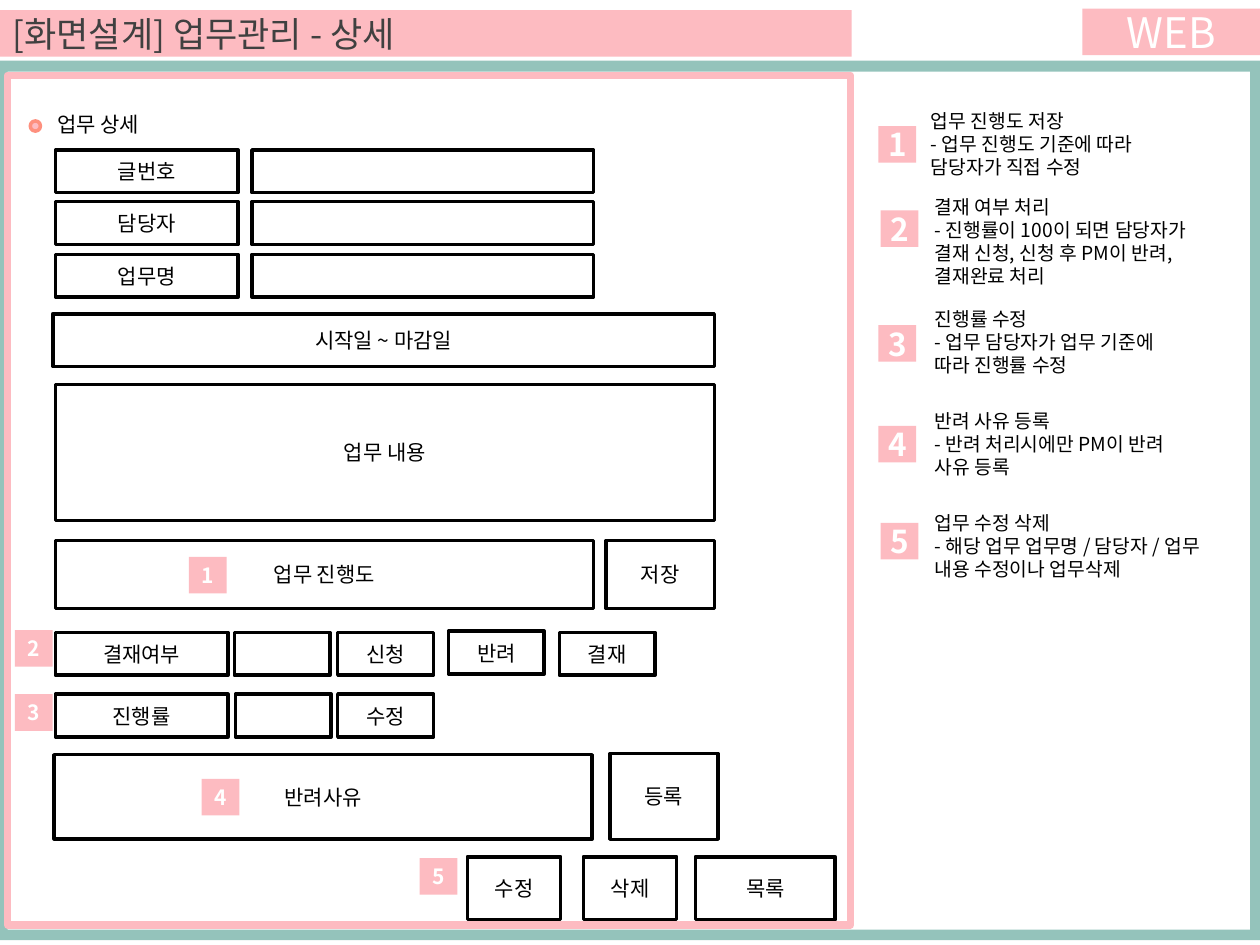
from pptx import Presentation
from pptx.dml.color import RGBColor
from pptx.enum.shapes import MSO_SHAPE
from pptx.enum.text import MSO_ANCHOR, MSO_AUTO_SIZE, PP_ALIGN
from pptx.oxml.ns import qn
from pptx.util import Pt

FONT = "Noto Sans CJK KR"
PINK = RGBColor(0xFD, 0xBB, 0xC1)
CORAL = RGBColor(0xFE, 0x90, 0x7E)
TEAL = RGBColor(0x94, 0xC3, 0xBB)
WHITE = RGBColor(0xFF, 0xFF, 0xFF)
BLACK = RGBColor(0, 0, 0)
GRAY = RGBColor(0x40, 0x40, 0x40)

ROW_H = 24.5
BADGE_W, BADGE_H = 21.6, 20.9

# Label, top
DETAIL_ROWS = [("글번호", 85.7), ("담당자", 115.2), ("업무명", 145.4)]

# Label, left, top, width, height
FORM_BOXES = [
    ("시작일 ~ 마감일", 30.2, 179.3, 378, 30.2),
    ("업무 내용", 31.7, 219.6, 376.6, 77.8),
    ("업무 진행도", 31.7, 308.9, 307.4, 38.9),
    ("저장", 346.3, 308.9, 61.9, 38.9),
    ("결재여부", 31.7, 361.4, 98.6, ROW_H),
    ("", 133.9, 361.4, 54.7, ROW_H),
    ("신청", 193, 361.4, 54.7, ROW_H),
    ("반려", 256.3, 360.7, 54.7, ROW_H),
    ("결재", 319.7, 361.4, 54.7, ROW_H),
    ("진행률", 31.7, 396.7, 98.6, ROW_H),
    ("", 134.6, 396.7, 54.7, ROW_H),
    ("수정", 193, 396.7, 54.7, ROW_H),
    ("반려사유", 31, 431.3, 307.4, 48.2),
    ("등록", 348.5, 430.6, 61.9, 49),
    ("수정", 267.1, 489.6, 53.3, 36),
    ("삭제", 333.4, 489.6, 53.3, 36),
    ("목록", 397.4, 489.6, 79.9, 36),
]

# Left, top of the markers 1 to 5 on the form
FORM_BADGES = [(108, 318.2), (8.6, 360), (8.6, 396.7), (115.2, 445), (239.8, 490.3)]

# Badge left, badge top, text left, text top, text width, text height, heading, detail
NOTES = [
    (502, 72, 524.9, 59, 158.4, 47.5, "업무 진행도 저장",
     "- 업무 진행도 기준에 따라 담당자가 직접 수정"),
    (503.3, 120.2, 527, 108, 177.1, 60.5, "결재 여부 처리",
     "- 진행률이 100이 되면 담당자가 결재 신청, 신청 후 PM이 반려, 결재완료 처리"),
    (502, 185.8, 527, 172.1, 158.4, 47.5, "진행률 수정",
     "- 업무 담당자가 업무 기준에 따라 진행률 수정"),
    (502, 243.4, 527, 230.4, 167.8, 47.5, "반려 사유 등록",
     "- 반려 처리시에만 PM이 반려 사유 등록"),
    (503.3, 298.8, 527, 288.7, 167.8, 60.5, "업무 수정 삭제",
     "- 해당 업무 업무명 / 담당자 / 업무 내용 수정이나 업무삭제"),
]


def add_run(p, text, size, color, bold=False):
    r = p.add_run()
    r.text = text
    r.font.size = Pt(size)
    r.font.bold = bold
    r.font.color.rgb = color
    r.font.name = FONT
    ea = r._r.get_or_add_rPr().makeelement(qn("a:ea"), {"typeface": FONT})
    r.font._element.find(qn("a:latin")).addnext(ea)


def add_box(s, left, top, width, height, fill=None, line=None, line_w=2,
            shape=MSO_SHAPE.RECTANGLE):
    sp = s.shapes.add_shape(shape, Pt(left), Pt(top), Pt(width), Pt(height))
    sp.shadow.inherit = False
    if fill is None:
        sp.fill.background()
    else:
        sp.fill.solid()
        sp.fill.fore_color.rgb = fill
    if line is None:
        sp.line.fill.background()
    else:
        sp.line.color.rgb = line
        sp.line.width = Pt(line_w)
    return sp


def add_label(sp, text, size, color, bold=False):
    tf = sp.text_frame
    tf.margin_left = tf.margin_right = tf.margin_top = tf.margin_bottom = 0
    tf.vertical_anchor = MSO_ANCHOR.MIDDLE
    p = tf.paragraphs[0]
    p.alignment = PP_ALIGN.CENTER
    add_run(p, text, size, color, bold)


def add_field(s, text, left, top, width, height):
    sp = add_box(s, left, top, width, height, WHITE, BLACK)
    if text:
        add_label(sp, text, 12, BLACK)


def add_badge(s, number, left, top, size):
    sp = add_box(s, left, top, BADGE_W, BADGE_H, PINK)
    add_label(sp, str(number), size, WHITE, bold=True)


def add_text(s, left, top, width, height, lines, size):
    tf = s.shapes.add_textbox(Pt(left), Pt(top), Pt(width), Pt(height)).text_frame
    tf.word_wrap = True
    for i, line in enumerate(lines):
        p = tf.add_paragraph() if i else tf.paragraphs[0]
        p.line_spacing = Pt(size * 1.2)
        add_run(p, line, size, BLACK)


def set_title(s, text):
    sp = s.shapes.title
    sp.left, sp.top, sp.width, sp.height = Pt(0), Pt(5.8), Pt(486.7), Pt(26.6)
    sp.fill.solid()
    sp.fill.fore_color.rgb = PINK
    tf = sp.text_frame
    tf.auto_size = MSO_AUTO_SIZE.NONE
    tf.vertical_anchor = MSO_ANCHOR.MIDDLE
    p = tf.paragraphs[0]
    p.alignment = PP_ALIGN.LEFT
    add_run(p, text, 20, GRAY)


def add_frame(s):
    add_box(s, 0, 34.6, 720, 502.6, TEAL)
    add_box(s, 4.3, 41, 710, 490.3, WHITE)
    add_box(s, 4.3, 43.2, 481.7, 485.3, line=PINK, line_w=4.5)
    add_label(add_box(s, 618.5, 5, 101.5, 26.6, PINK), "WEB", 24, WHITE)


def add_form(s):
    add_box(s, 17.3, 69.1, 5.8, 5.8, PINK, CORAL, shape=MSO_SHAPE.OVAL)
    add_text(s, 25.7, 60.5, 275, 21.6, ["업무 상세"], 12)
    for label, top in DETAIL_ROWS:
        add_field(s, label, 31.7, top, 104.4, ROW_H)
        add_field(s, "", 144, top, 195.1, ROW_H)
    for box in FORM_BOXES:
        add_field(s, *box)
    for number, (left, top) in enumerate(FORM_BADGES, 1):
        add_badge(s, number, left, top, 12)


def add_notes(s):
    for number, (badge_x, badge_y, x, y, w, h, *lines) in enumerate(NOTES, 1):
        add_badge(s, number, badge_x, badge_y, 18)
        add_text(s, x, y, w, h, lines, 11)


def main():
    prs = Presentation()
    prs.slide_width, prs.slide_height = Pt(720), Pt(540)
    s = prs.slides.add_slide(prs.slide_layouts[5])
    set_title(s, "[화면설계] 업무관리 - 상세")
    add_frame(s)
    add_form(s)
    add_notes(s)
    prs.save("out.pptx")


if __name__ == "__main__":
    main()
